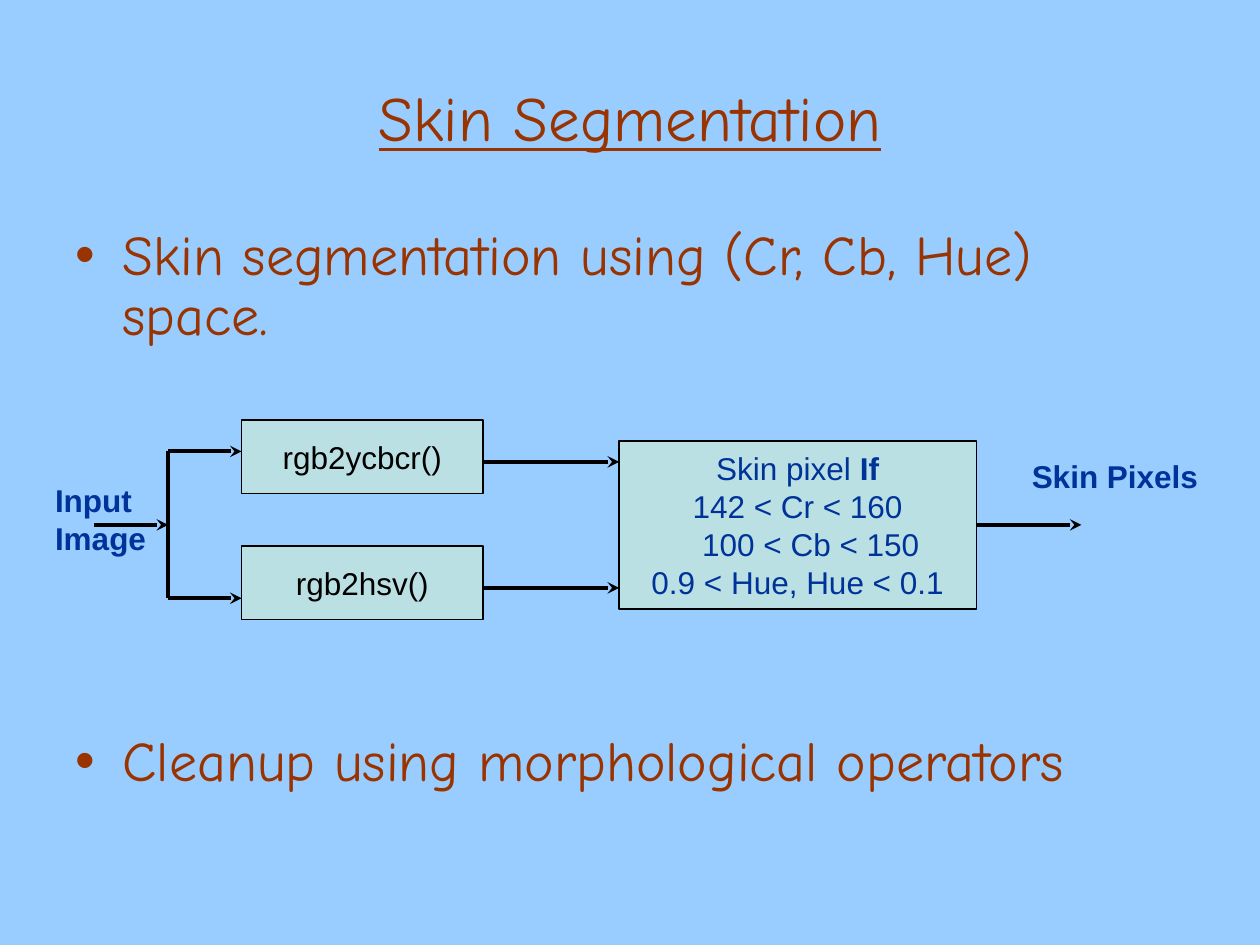
"""Build the skin segmentation slide with its colour-space flow diagram."""
from dataclasses import dataclass

import pptx
import pptx.dml.color
import pptx.enum.shapes
import pptx.enum.text
import pptx.oxml.ns
import pptx.util
from lxml import etree

Cm = pptx.util.Cm
Pt = pptx.util.Pt
RGB = pptx.dml.color.RGBColor
qn = pptx.oxml.ns.qn
ALIGN = pptx.enum.text.PP_ALIGN
ANCHOR = pptx.enum.text.MSO_ANCHOR


@dataclass(frozen=True)
class Theme:
    background: RGB = RGB(0x99, 0xCC, 0xFF)
    heading: RGB = RGB(0x99, 0x33, 0x00)
    label: RGB = RGB(0x00, 0x33, 0x99)
    box: RGB = RGB(0xBB, 0xE0, 0xE3)
    ink: RGB = RGB(0x00, 0x00, 0x00)
    display_font: str = "Comic Neue"
    diagram_font: str = "Arial"
    title_size: Pt = Pt(36)
    body_size: Pt = Pt(32)
    diagram_size: Pt = Pt(18)


theme = Theme()


def write(sp, paragraphs, font, size, color, align=ALIGN.LEFT, anchor=ANCHOR.TOP, wrap=True):
    tf = sp.text_frame
    tf.word_wrap = wrap
    tf.vertical_anchor = anchor
    for i, runs in enumerate(paragraphs):
        p = tf.add_paragraph() if i else tf.paragraphs[0]
        p.alignment = align
        for text, bold in runs:
            r = p.add_run()
            r.text = text
            r.font.name = font
            r.font.size = size
            r.font.bold = bold
            r.font.color.rgb = color
    return tf.paragraphs


def connect(x1, y1, x2, y2, arrow=True):
    line = s.shapes.add_connector(
        pptx.enum.shapes.MSO_CONNECTOR.STRAIGHT, Cm(x1), Cm(y1), Cm(x2), Cm(y2))
    line.line.color.rgb = theme.ink
    line.line.width = Pt(2.25)
    if arrow:
        etree.SubElement(line.line._get_or_add_ln(), qn("a:tailEnd"), type="stealth")
    etree.SubElement(line._element.spPr, qn("a:effectLst"))


prs = pptx.Presentation()
prs.slide_width = Cm(25.4)
prs.slide_height = Cm(19.05)
s = prs.slides.add_slide(prs.slide_layouts[6])
s.background.fill.solid()
s.background.fill.fore_color.rgb = theme.background

title = s.shapes.add_textbox(Cm(1.27), Cm(0.76), Cm(22.86), Cm(3.18))
p = write(title, [[("Skin Segmentation", False)]], theme.display_font, theme.title_size,
          theme.heading, ALIGN.CENTER, ANCHOR.MIDDLE)[0]
p.runs[0].font.underline = True

body = s.shapes.add_textbox(Cm(1.27), Cm(4.45), Cm(22.86), Cm(12.57))
bullets = write(body, [[("Skin segmentation using (Cr, Cb, Hue) space.", False)],
                       [("Cleanup using morphological operators", False)]],
                theme.display_font, theme.body_size, theme.heading)
for p, gap in zip(bullets, (8, 220)):
    p.line_spacing = 0.9
    p.space_before = Pt(gap)
    pPr = p._p.get_or_add_pPr()
    pPr.set("marL", str(Cm(0.95)))
    pPr.set("indent", str(-Cm(0.95)))
    etree.SubElement(pPr, qn("a:buFont"), typeface=theme.diagram_font)
    etree.SubElement(pPr, qn("a:buChar"), char="•")

decision = [[("Skin pixel ", False), ("If", True)],
            [("142 < Cr < 160", False)],
            [("100 < Cb < 150", False)],
            [("0.9 < Hue, Hue < 0.1", False)]]
boxes = [(4.87, 8.47, 4.87, 1.48, theme.ink, [[("rgb2ycbcr()", False)]]),
         (4.87, 11.01, 4.87, 1.48, theme.ink, [[("rgb2hsv()", False)]]),
         (12.48, 8.89, 7.2, 3.39, theme.label, decision)]
for x, y, w, h, color, paragraphs in boxes:
    sp = s.shapes.add_shape(pptx.enum.shapes.MSO_SHAPE.RECTANGLE, Cm(x), Cm(y), Cm(w), Cm(h))
    sp.shadow.inherit = False
    sp.fill.solid()
    sp.fill.fore_color.rgb = theme.box
    sp.line.color.rgb = theme.ink
    sp.line.width = Pt(0.75)
    lines = write(sp, paragraphs, theme.diagram_font, theme.diagram_size, color,
                  ALIGN.CENTER, ANCHOR.MIDDLE)
lines[2]._p.get_or_add_pPr().set("marL", str(Cm(0.53)))

middle, fork = 10.58, 3.39
for y in (9.31, 11.85):
    connect(9.74, y, 12.48, y)
connect(19.68, middle, 21.8, middle)
connect(1.9, middle, fork, middle)
for y in (middle - 1.48, middle + 1.48):
    connect(fork, middle, fork, y, arrow=False)
    connect(fork, y, 4.87, y)

labels = [(20.55, 9.09, 3.86, 1.02, ["Skin Pixels"]),
          (0.86, 9.58, 2.34, 1.78, ["Input", "Image"])]
for x, y, w, h, words in labels:
    sp = s.shapes.add_textbox(Cm(x), Cm(y), Cm(w), Cm(h))
    write(sp, [[(word, True)] for word in words], theme.diagram_font, theme.diagram_size,
          theme.label, wrap=False)

prs.save("out.pptx")
